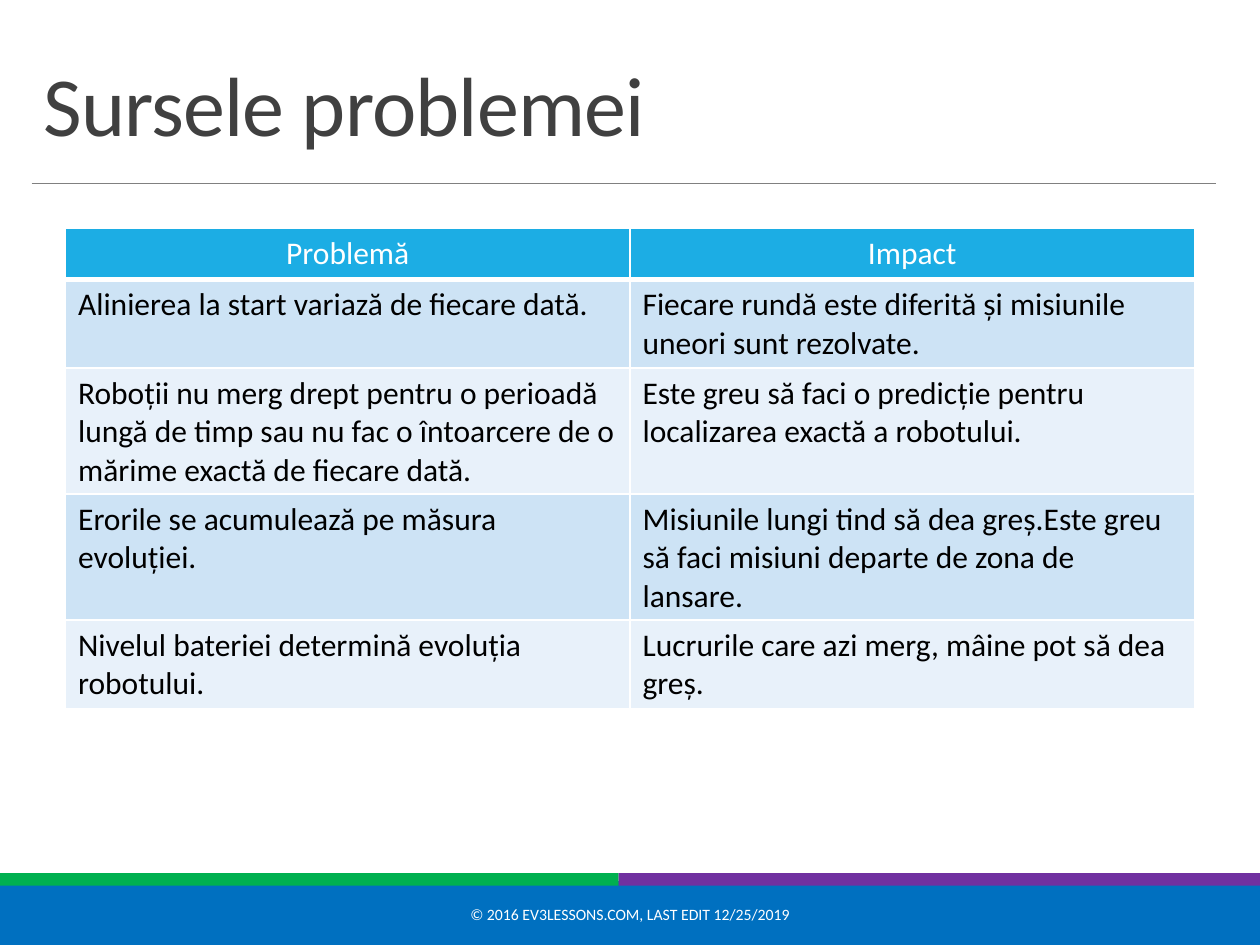
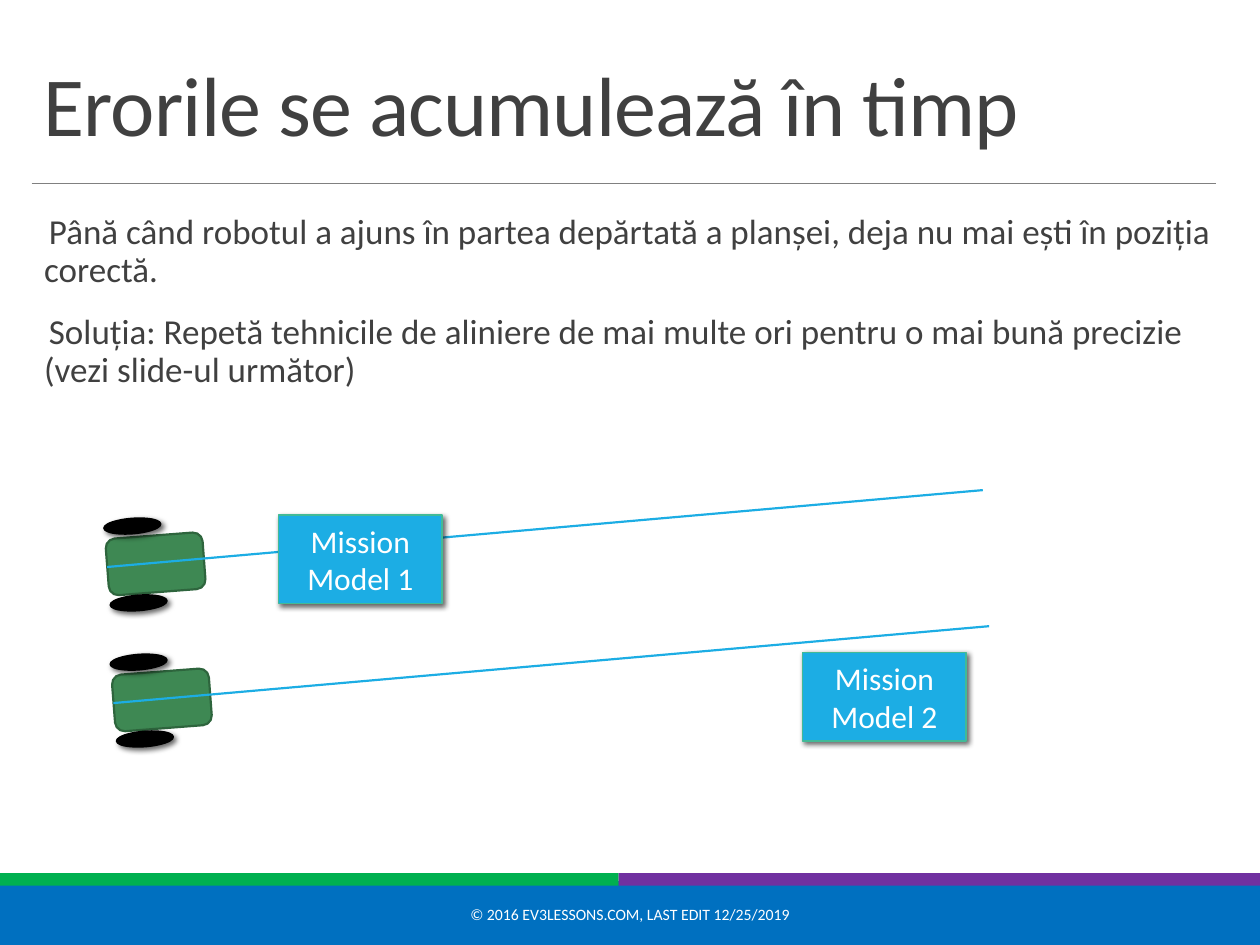
from typing import NamedTuple

from lxml import etree
from pptx import Presentation
from pptx.dml.color import RGBColor
from pptx.enum.shapes import MSO_CONNECTOR, MSO_SHAPE
from pptx.enum.text import MSO_ANCHOR, PP_ALIGN
from pptx.oxml.ns import qn
from pptx.util import Emu, Inches, Pt

RECT, ROUND, OVAL = MSO_SHAPE.RECTANGLE, MSO_SHAPE.ROUNDED_RECTANGLE, MSO_SHAPE.OVAL
STRAIGHT = MSO_CONNECTOR.STRAIGHT
LEFT, CENTER = PP_ALIGN.LEFT, PP_ALIGN.CENTER
TOP, MIDDLE, BOTTOM = MSO_ANCHOR.TOP, MSO_ANCHOR.MIDDLE, MSO_ANCHOR.BOTTOM

FONT = "Calibri"
WHITE, BLACK, GRAY, DARK = "FFFFFF", "000000", "808080", "404040"
BLUE, GREEN, PURPLE = "0070C0", "00B050", "7030A0"
SKY, TEAL, MOSS, PINE = "1CADE4", "42BA97", "3E8853", "2E653D"
BANDS = ("CDE3F5", "E8F1FA")
FOOTER = "© 2016 EV3LESSONS.COM, LAST EDIT 12/25/2019"
TILT = 85.6


class Box(NamedTuple):
    left: float
    top: float
    width: float
    height: float

    def shift(self, dx: float, dy: float) -> "Box":
        return self._replace(left=self.left + dx, top=self.top + dy)

    def emu(self) -> list[Emu]:
        return [Inches(side) for side in self]


class Look(NamedTuple):
    kind: int
    fill: str
    line: str = ""
    weight: float = 1
    shadow: bool = False
    turn: float = 0


class Part(NamedTuple):
    box: Box
    look: Look


class Run(NamedTuple):
    """One robot run: offset from the first run, and its mission model."""
    dx: float
    dy: float
    label: str
    model: Box


WHEEL = Look(OVAL, BLACK, BLACK, shadow=True, turn=TILT)
MODEL = Look(RECT, SKY, TEAL, shadow=True)

FRAME = [
    Part(Box(0, 7, 10, 0.5), Look(RECT, BLUE, BLUE, 1.25)),
    Part(Box(0, 6.93, 4.91, 0.1), Look(RECT, GREEN)),
    Part(Box(4.91, 6.93, 5.09, 0.1), Look(RECT, PURPLE)),
]
ROBOT = [
    Part(Box(1.01, 4.09, 0.45, 0.77), Look(ROUND, MOSS, PINE, 1.25, turn=TILT)),
    Part(Box(0.99, 3.95, 0.12, 0.45), WHEEL),
    Part(Box(1.04, 4.56, 0.12, 0.45), WHEEL),
]
ROUTE = Box(0.85, 4.5, 6.95, -0.61)
RUNS = [
    Run(0, 0, "Mission Model 1", Box(2.21, 4.09, 1.3, 0.7)),
    Run(0.05, 1.08, "Mission Model 2", Box(6.37, 5.18, 1.3, 0.7)),
]

ROWS = [
    ("Problemă", "Impact"),
    ("Alinierea la start variază de fiecare dată.",
     "Fiecare rundă este diferită și misiunile uneori sunt rezolvate."),
    ("Roboții nu merg drept pentru o perioadă lungă de timp sau nu fac o "
     "întoarcere de o mărime exactă de fiecare dată.",
     "Este greu să faci o predicție pentru localizarea exactă a robotului."),
    ("Erorile se acumulează pe măsura evoluției.",
     "Misiunile lungi tind să dea greș.Este greu să faci misiuni departe "
     "de zona de lansare."),
    ("Nivelul bateriei determină evoluția robotului.",
     "Lucrurile care azi merg, mâine pot să dea greș."),
]
POINTS = [
    "Până când robotul a ajuns în partea depărtată a planșei, deja nu mai "
    "ești în poziția corectă.",
    "Soluția: Repetă tehnicile de aliniere de mai multe ori pentru o mai "
    "bună precizie (vezi slide-ul următor)",
]


def color(code: str) -> RGBColor:
    return RGBColor.from_string(code)


def add_xml(parent, tag: str, **attrs: str):
    return etree.SubElement(parent, qn(tag), attrs)


def style(para, size: float, code: str, align: int = LEFT) -> None:
    para.alignment = align
    for run in para.runs:
        run.font.name, run.font.size = FONT, Pt(size)
        run.font.bold = False
        run.font.color.rgb = color(code)


def add_part(shapes, box: Box, look: Look):
    shape = shapes.add_shape(look.kind, *box.emu())
    shape.rotation = look.turn
    shape.fill.solid()
    shape.fill.fore_color.rgb = color(look.fill)
    if look.line:
        shape.line.color.rgb = color(look.line)
        shape.line.width = Pt(look.weight)
    else:
        shape.line.fill.background()
    shape.shadow.inherit = False
    if look.shadow:
        effects = shape._element.spPr.find(qn("a:effectLst"))
        cast = add_xml(effects, "a:outerShdw", blurRad=str(Pt(3)),
                       dist=str(Pt(2)), dir="2700000", rotWithShape="0")
        tint = add_xml(cast, "a:srgbClr", val=BLACK)
        add_xml(tint, "a:alpha", val="60000")
    return shape


def add_line(slide, box: Box, code: str, weight: float) -> None:
    left, top, width, height = box.emu()
    line = slide.shapes.add_connector(STRAIGHT, left, top, left + width, top + height)
    line.line.color.rgb = color(code)
    line.line.width = Pt(weight)
    add_xml(line._element.spPr, "a:effectLst")


def add_text(slide, box: Box, text: str, anchor: int):
    frame = slide.shapes.add_textbox(*box.emu()).text_frame
    frame.word_wrap = True
    frame.vertical_anchor = anchor
    frame.text = text
    return frame


def add_page(deck, title: str):
    slide = deck.slides.add_slide(deck.slide_layouts[6])
    # Bands and title rule
    for part in FRAME:
        add_part(slide.shapes, *part)
    add_line(slide, Box(0.25, 1.46, 9.4, 0), GRAY, 0.5)
    # Title
    head = add_text(slide, Box(0.25, 0.31, 9.4, 0.96), title, BOTTOM).paragraphs[0]
    head.line_spacing = 0.85
    style(head, 48, DARK)
    head.runs[0]._r.get_or_add_rPr().set("spc", "-50")
    # Footer
    foot = add_text(slide, Box(3.02, 7.06, 3.96, 0.4), FOOTER, MIDDLE)
    style(foot.paragraphs[0], 9, WHITE, CENTER)
    return slide


def set_cell(cell, text: str, row: int) -> None:
    header = row == 0
    props = cell._tc.get_or_add_tcPr()
    for side in "LRTB":
        weight = 3 if header and side == "B" else 1
        edge = add_xml(props, f"a:ln{side}", w=str(Pt(weight)))
        add_xml(add_xml(edge, "a:solidFill"), "a:srgbClr", val=WHITE)
    cell.fill.solid()
    cell.fill.fore_color.rgb = color(SKY if header else BANDS[(row - 1) % 2])
    cell.text_frame.text = text
    style(cell.text_frame.paragraphs[0], 18, WHITE if header else BLACK,
          CENTER if header else LEFT)


def add_grid(slide) -> None:
    box = Box(0.52, 1.81, 8.96, 0.41 * len(ROWS))
    table = slide.shapes.add_table(len(ROWS), len(ROWS[0]), *box.emu()).table
    table.first_row = table.horz_banding = False
    for row, texts in enumerate(ROWS):
        for col, text in enumerate(texts):
            set_cell(table.cell(row, col), text, row)


def add_points(slide) -> None:
    frame = add_text(slide, Box(0.25, 1.65, 9.4, 5.09), "\n".join(POINTS), TOP)
    frame.margin_left = frame.margin_right = 0
    for index, para in enumerate(frame.paragraphs):
        props = para._p.get_or_add_pPr()
        props.set("marL", str(Inches(0.1)))
        props.set("indent", str(-Inches(0.1)))
        add_xml(add_xml(props, "a:buClr"), "a:srgbClr", val=SKY)
        add_xml(props, "a:buChar", char=" ")
        para.line_spacing = 0.9
        para.space_before = Pt(12 if index else 0)
        para.space_after = Pt(2)
        style(para, 20, DARK)


def add_run(slide, run: Run) -> None:
    # Robot, its route and the mission model
    robot = slide.shapes.add_group_shape()
    for box, look in ROBOT:
        add_part(robot.shapes, box.shift(run.dx, run.dy), look)
    add_line(slide, ROUTE.shift(run.dx, run.dy), SKY, 1.25)
    frame = add_part(slide.shapes, run.model, MODEL).text_frame
    frame.word_wrap = True
    frame.vertical_anchor = MIDDLE
    frame.text = run.label
    style(frame.paragraphs[0], 18, WHITE, CENTER)


def main() -> None:
    deck = Presentation()
    deck.slide_width, deck.slide_height = Inches(10), Inches(7.5)

    # Slide 1: problem table
    add_grid(add_page(deck, "Sursele problemei"))

    # Slide 2: drifting robots
    drift = add_page(deck, "Erorile se acumulează în timp")
    add_points(drift)
    for run in RUNS:
        add_run(drift, run)

    deck.save("out.pptx")


if __name__ == "__main__":
    main()
